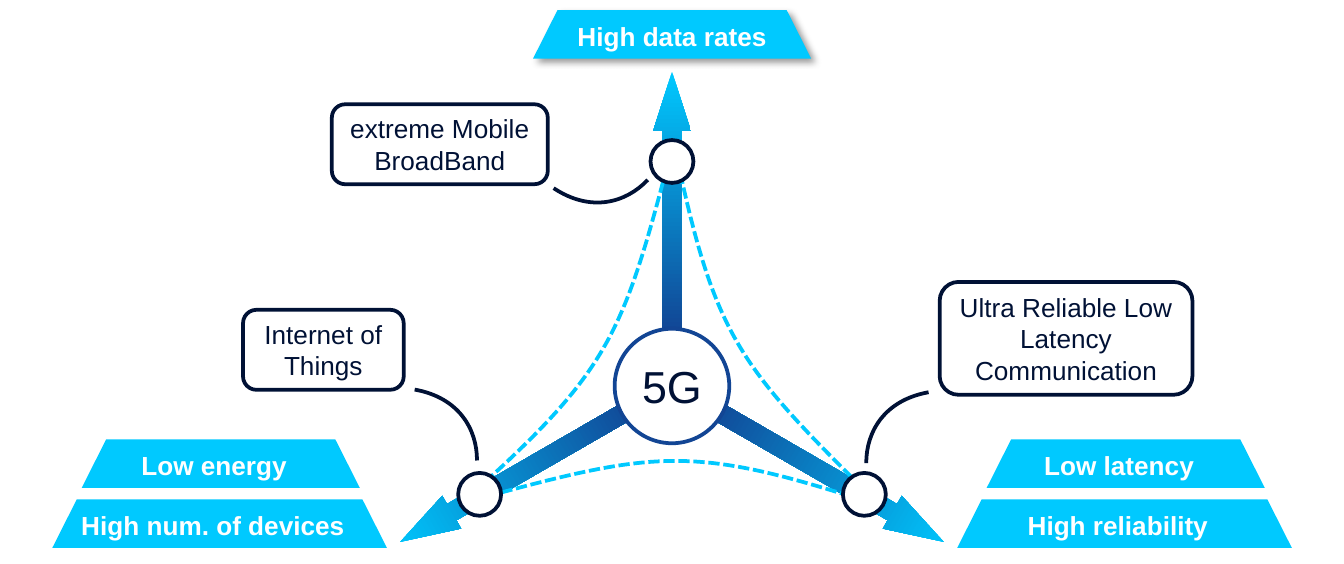
from math import cos, radians, sin

from lxml import etree
from pptx import Presentation
from pptx.dml.color import RGBColor
from pptx.enum.dml import MSO_LINE
from pptx.enum.shapes import MSO_SHAPE
from pptx.enum.text import MSO_ANCHOR, PP_ALIGN
from pptx.oxml.ns import qn
from pptx.util import Pt

CYAN = RGBColor(0x00, 0xC9, 0xFF)
BLUE = RGBColor(0x12, 0x41, 0x91)
HUB_BLUE = RGBColor(0x12, 0x45, 0x94)
NAVY = RGBColor(0x00, 0x11, 0x35)
WHITE = RGBColor(0xFF, 0xFF, 0xFF)

CENTER_X, CENTER_Y = 360, 205.6
ARROW_CENTER_Y = 206.5
SPOKES = (0, 240, 120)
# Bezier control points, relative to the centre of each curve
EDGE = ((-91.4, 8.3), (-11.5, -13.3), (13, -15.5), (91.4, 9))
LINK = ((-25.2, 6), (-13.5, -6.3), (5.2, -11.7), (25.2, 1.6))


def polar(radius, angle, center_y=CENTER_Y):
    """Point at a clockwise angle from straight up, around the centre."""
    a = radians(angle)
    return CENTER_X + radius * sin(a), center_y - radius * cos(a)


def add_box(shapes, kind, x, y, w, h, fill=WHITE, line=None):
    s = shapes.add_shape(kind, Pt(x), Pt(y), Pt(w), Pt(h))
    s.shadow.inherit = False
    s.fill.solid()
    s.fill.fore_color.rgb = fill
    if line is None:
        s.line.fill.background()
    else:
        s.line.color.rgb = line
        s.line.width = Pt(2)
    return s


def set_text(s, text, size, color, bold=False, insets=(0, 0, 0, 0)):
    tf = s.text_frame
    tf.word_wrap = True
    tf.vertical_anchor = MSO_ANCHOR.MIDDLE
    tf.margin_left, tf.margin_top, tf.margin_right, tf.margin_bottom = map(Pt, insets)
    p = tf.paragraphs[0]
    p.text = text
    p.alignment = PP_ALIGN.CENTER
    p.space_after = Pt(3)
    p.font.name = "Arial"
    p.font.size = Pt(size)
    p.font.bold = bold
    p.font.color.rgb = color


def add_circle(shapes, cx, cy, diameter, line):
    r = diameter / 2
    return add_box(shapes, MSO_SHAPE.OVAL, cx - r, cy - r, diameter, diameter, line=line)


def add_arrow(shapes, angle):
    w, h = 20.2, 144.7
    cx, cy = polar(95.8, angle, ARROW_CENTER_Y)
    s = add_box(shapes, MSO_SHAPE.UP_ARROW, cx - w / 2, cy - h / 2, w, h)
    s.adjustments[0], s.adjustments[1] = 0.5, 1.576
    s.rotation = angle
    s.fill.gradient()
    s.fill.gradient_angle = 270
    for stop, color, position in zip(s.fill.gradient_stops, (CYAN, BLUE), (0, 1)):
        stop.color.rgb = color
        stop.position = position


def add_callout(shapes, text, x, y, w, h):
    s = add_box(shapes, MSO_SHAPE.ROUNDED_RECTANGLE, x, y, w, h, line=NAVY)
    set_text(s, text, 14, NAVY, insets=(1.5, 1.5, 1.5, 1.5))


def add_goal(shapes, text, x, y, w=149, left_inset=0):
    s = add_box(shapes, MSO_SHAPE.TRAPEZOID, x, y, w, 26, CYAN)
    s.adjustments[0] = 0.504
    set_text(s, text, 14, WHITE, True, (left_inset, 0, 7.2, 0))
    return s


def add_goal_pair(shapes, upper, lower, x):
    group = shapes.add_group_shape()
    add_goal(group.shapes, lower, x, 267.8, 179.3)
    add_goal(group.shapes, upper, x + 15.8, 235.6)


def add_drop_shadow(s):
    effects = s._element.spPr.find(qn("a:effectLst"))
    shadow = etree.SubElement(effects, qn("a:outerShdw"), blurRad=str(Pt(4)),
                              dist=str(Pt(3)), dir="2700000", algn="tl", rotWithShape="0")
    color = etree.SubElement(shadow, qn("a:srgbClr"), val="000000")
    etree.SubElement(color, qn("a:alpha"), val="40000")


def curve_extent(values, steps=100):
    """Lowest and highest value that one axis of a cubic Bezier reaches."""
    a, b, c, d = values
    reached = [a * (1 - t) ** 3 + 3 * b * t * (1 - t) ** 2 + 3 * c * t * t * (1 - t) + d * t ** 3
               for t in (i / steps for i in range(steps + 1))]
    return min(reached), max(reached)


def add_curve(shapes, controls, cx, cy, rotation, color, mirror=1):
    """Draw one cubic Bezier, boxed tightly and turned about its centre."""
    points = [(cx + mirror * x, cy + y) for x, y in controls]
    (left, right), (top, bottom) = (curve_extent(axis) for axis in zip(*points))
    builder = shapes.build_freeform(Pt(points[0][0]), Pt(points[0][1]))
    builder.add_line_segments([(Pt(points[-1][0]), Pt(points[-1][1]))], close=False)
    s = builder.convert_to_shape()
    s.left, s.top, s.width, s.height = Pt(left), Pt(top), Pt(right - left), Pt(bottom - top)

    outline = next(s._element.iter(qn("a:path")))
    outline.set("w", str(s.width))
    outline.set("h", str(s.height))
    for segment in list(outline):
        outline.remove(segment)
    for tag, part in (("a:moveTo", points[:1]), ("a:cubicBezTo", points[1:])):
        segment = etree.SubElement(outline, qn(tag))
        for x, y in part:
            etree.SubElement(segment, qn("a:pt"), x=str(Pt(x - left)), y=str(Pt(y - top)))

    s.shadow.inherit = False
    s.fill.background()
    s.line.color.rgb = color
    s.line.width = Pt(2)
    s.rotation = rotation
    return s


def main():
    prs = Presentation()
    prs.slide_width, prs.slide_height = Pt(720), Pt(302.4)
    shapes = prs.slides.add_slide(prs.slide_layouts[6]).shapes

    for angle in SPOKES:
        add_arrow(shapes, angle)
    hub = add_circle(shapes, CENTER_X, 207, 61.4, HUB_BLUE)
    set_text(hub, "5G", 24, NAVY)

    add_callout(shapes, "Ultra Reliable Low Latency Communication", 503.4, 151.2, 135.4, 60.5)
    add_callout(shapes, "extreme Mobile BroadBand", 177.8, 55.9, 115.7, 42.9)
    add_goal_pair(shapes, "Low energy", "High num. of devices", 28)
    add_goal_pair(shapes, "Low latency", "High reliability", 512.8)
    add_drop_shadow(add_goal(shapes, "High data rates", 285.6, 5.4, left_inset=7.2))

    for angle in SPOKES:
        edge = add_curve(shapes, EDGE, *polar(50.2, angle + 180), angle, CYAN)
        edge.line.dash_style = MSO_LINE.SQUARE_DOT
    for angle in SPOKES:
        add_circle(shapes, *polar(119, angle), 23, NAVY)

    add_curve(shapes, LINK, 321.8, 102.6, 180, NAVY)
    add_curve(shapes, LINK, 478.1, 226.6, 316.3, NAVY)
    add_curve(shapes, LINK, 241.5, 225.2, 43.7, NAVY, mirror=-1)
    add_callout(shapes, "Internet of Things", 130.2, 166.1, 86.1, 42.9)

    prs.save("out.pptx")


if __name__ == "__main__":
    main()
